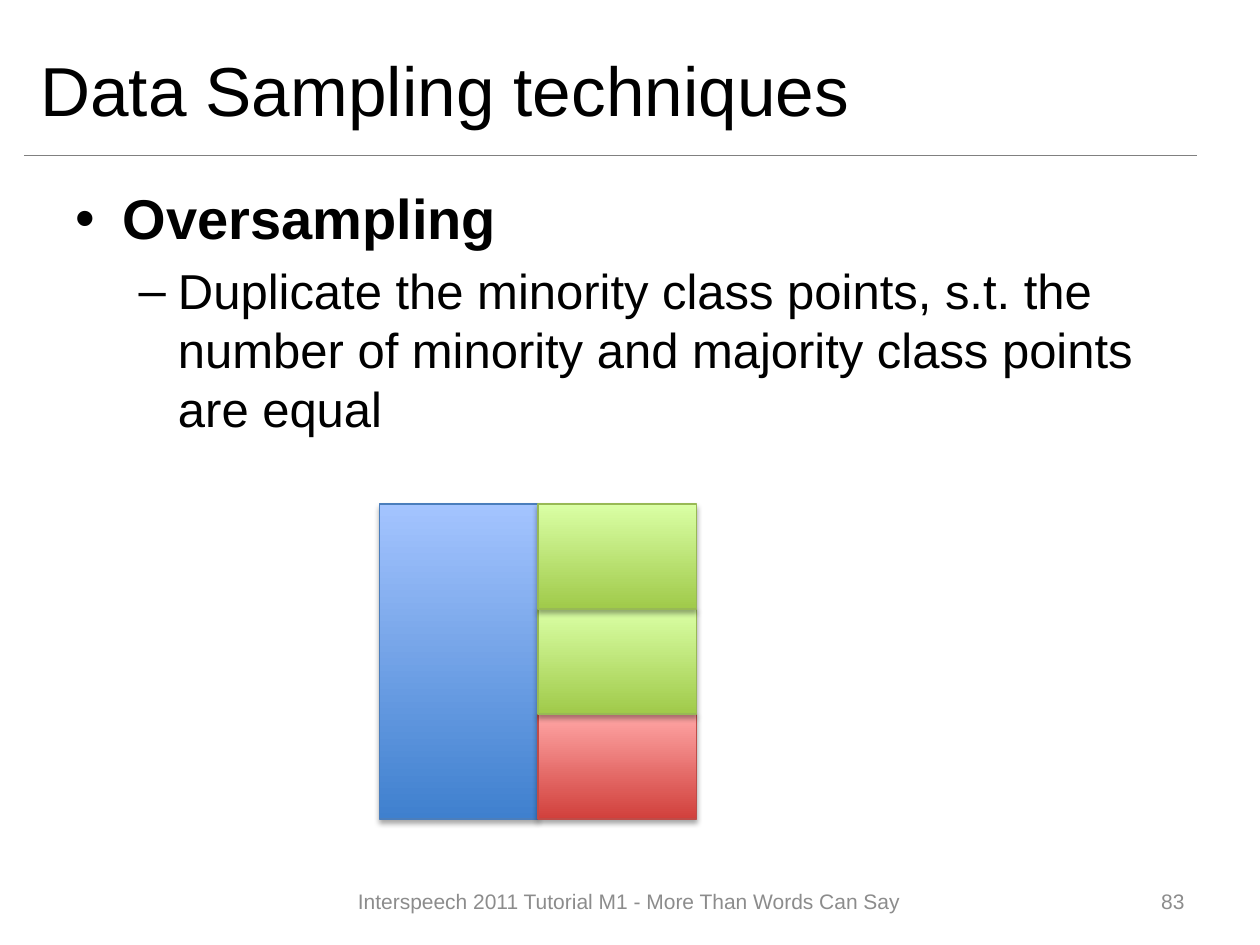
"""Build the slide on oversampling with its class-balance diagram."""
from lxml.etree import SubElement
from pptx import Presentation
from pptx.dml.color import RGBColor
from pptx.enum.shapes import MSO_CONNECTOR, MSO_SHAPE
from pptx.enum.text import MSO_ANCHOR, MSO_AUTO_SIZE, PP_ALIGN
from pptx.oxml.ns import qn
from pptx.util import Inches, Pt


def color(value):
    return RGBColor.from_string(value)


class SlideBuilder:
    font_name = "Arial"
    text_color = "000000"
    footer_color = "8C8C8C"
    rule_color = "808080"

    def __init__(self, slide):
        self.slide = slide

    def place(self, shape, left, top, width, height):
        shape.left, shape.top = Inches(left), Inches(top)
        shape.width, shape.height = Inches(width), Inches(height)

    def add_run(self, paragraph, text, size, text_color, bold=False):
        run = paragraph.add_run()
        run.text = text
        run.font.name = self.font_name
        run.font.size = Pt(size)
        run.font.bold = bold
        run.font.color.rgb = color(text_color)

    def add_title(self, text, *box):
        title = self.slide.shapes.title
        self.place(title, *box)
        frame = title.text_frame
        frame.auto_size = MSO_AUTO_SIZE.NONE
        frame.vertical_anchor = MSO_ANCHOR.MIDDLE
        paragraph = frame.paragraphs[0]
        paragraph.alignment = PP_ALIGN.LEFT
        self.add_run(paragraph, text, 39.6, self.text_color)

    def add_body(self, items, *box):
        body = self.slide.placeholders[1]
        self.place(body, *box)
        frame = body.text_frame
        frame.auto_size = MSO_AUTO_SIZE.NONE
        for index, (level, text, size, bold) in enumerate(items):
            paragraph = frame.add_paragraph() if index else frame.paragraphs[0]
            paragraph.level = level
            paragraph.space_before = Pt(0.2 * size if index else 0)
            self.add_run(paragraph, text, size, self.text_color, bold)

    def add_footer(self, text, alignment, left, width):
        shape = self.slide.shapes.add_textbox(
            Inches(left), Inches(6.95), Inches(width), Inches(0.4))
        frame = shape.text_frame
        frame.word_wrap = True
        frame.vertical_anchor = MSO_ANCHOR.MIDDLE
        paragraph = frame.paragraphs[0]
        paragraph.alignment = alignment
        self.add_run(paragraph, text, 12, self.footer_color)

    def add_rule(self, left, right, top):
        rule = self.slide.shapes.add_connector(
            MSO_CONNECTOR.STRAIGHT, Inches(left), Inches(top), Inches(right), Inches(top))
        rule.line.color.rgb = color(self.rule_color)
        rule.line.width = Pt(0.25)
        SubElement(rule._element.spPr, qn("a:effectLst"))

    def add_block(self, left, top, width, height, bottom_color, top_color, line_color):
        block = self.slide.shapes.add_shape(
            MSO_SHAPE.RECTANGLE, Inches(left), Inches(top), Inches(width), Inches(height))
        block.fill.gradient()
        block.fill.gradient_angle = 90
        for stop, stop_color in zip(block.fill.gradient_stops, (bottom_color, top_color)):
            stop.color.rgb = color(stop_color)
        block.line.color.rgb = color(line_color)
        block.line.width = Pt(0.75)
        self.add_shadow(block)

    def add_shadow(self, shape):
        shape.shadow.inherit = False
        effects = shape._element.spPr.find(qn("a:effectLst"))
        shadow = SubElement(
            effects, qn("a:outerShdw"), blurRad=str(Pt(3.1)), dist=str(Pt(1.8)),
            dir="5400000", rotWithShape="0")
        shadow_color = SubElement(shadow, qn("a:srgbClr"), val="000000")
        SubElement(shadow_color, qn("a:alpha"), val="35000")


def main():
    presentation = Presentation()
    presentation.slide_width, presentation.slide_height = Inches(10), Inches(7.5)
    builder = SlideBuilder(presentation.slides.add_slide(presentation.slide_layouts[1]))

    builder.add_rule(0.19, 9.5, 1.23)
    builder.add_title("Data Sampling techniques", 0.22, 0.3, 9.28, 0.81)
    builder.add_body([
        (0, "Oversampling", 32, True),
        (1, "Duplicate the minority class points, s.t. the number of minority "
            "and majority class points are equal", 28, False),
    ], 0.5, 1.41, 9, 5.29)
    builder.add_footer("83", PP_ALIGN.RIGHT, 7.17, 2.33)

    left, top, width, height = 3.01, 4, 1.26, 2.5
    blue = ("3F80CE", "A4C4FF", "4B7EBC")
    red = ("D1403C", "FFA6A5", "BF4C48")
    green = ("A0CA4A", "DAFFA5", "98B955")
    builder.add_block(left, top, width, height, *blue)
    part = height / 3
    for row, colors in ((2, red), (1, green), (0, green)):
        builder.add_block(left + width, top + row * part, width, part, *colors)

    builder.add_footer("Interspeech 2011 Tutorial M1 - More Than Words Can Say",
                       PP_ALIGN.CENTER, 2.46, 5.07)
    presentation.save("out.pptx")


if __name__ == "__main__":
    main()
